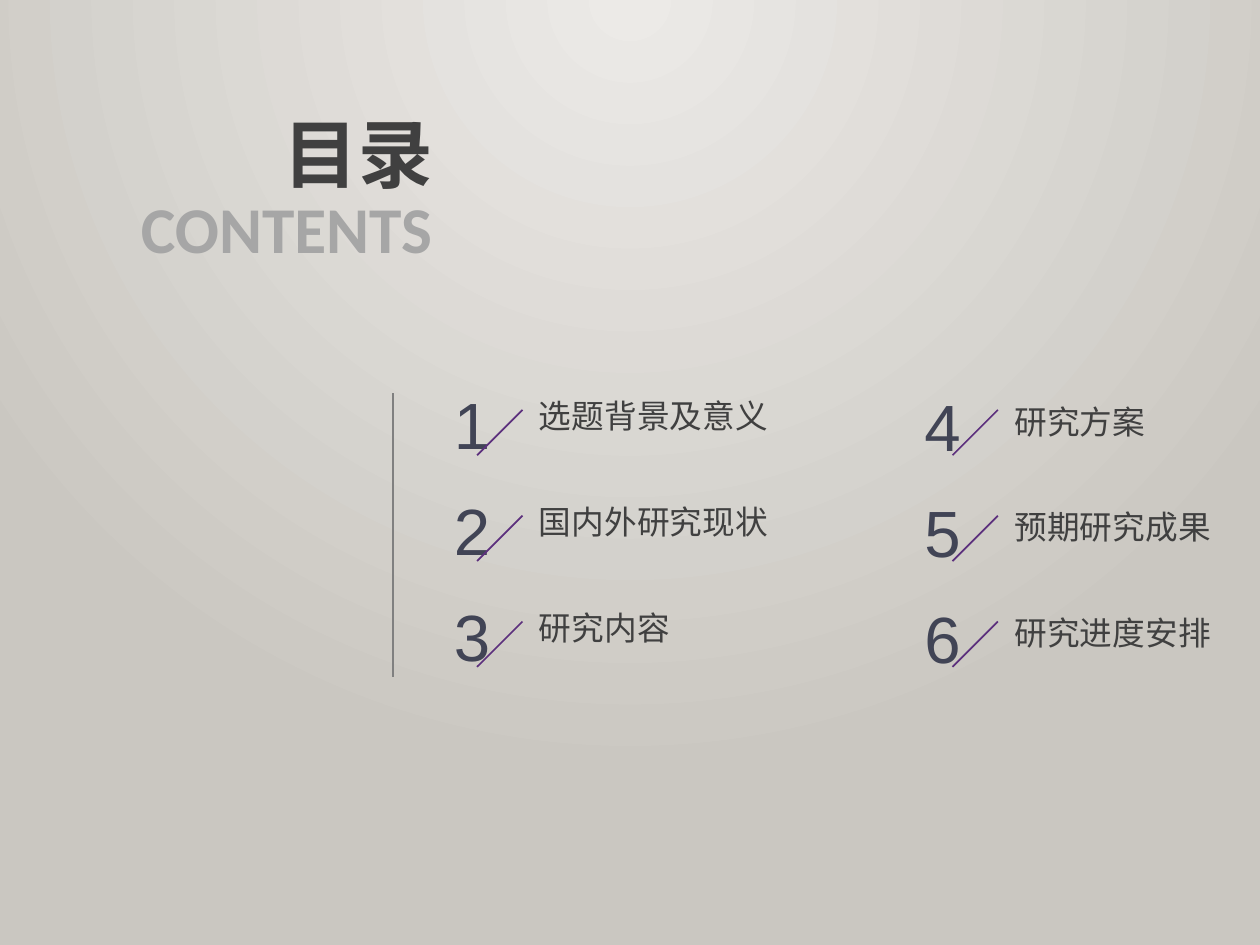
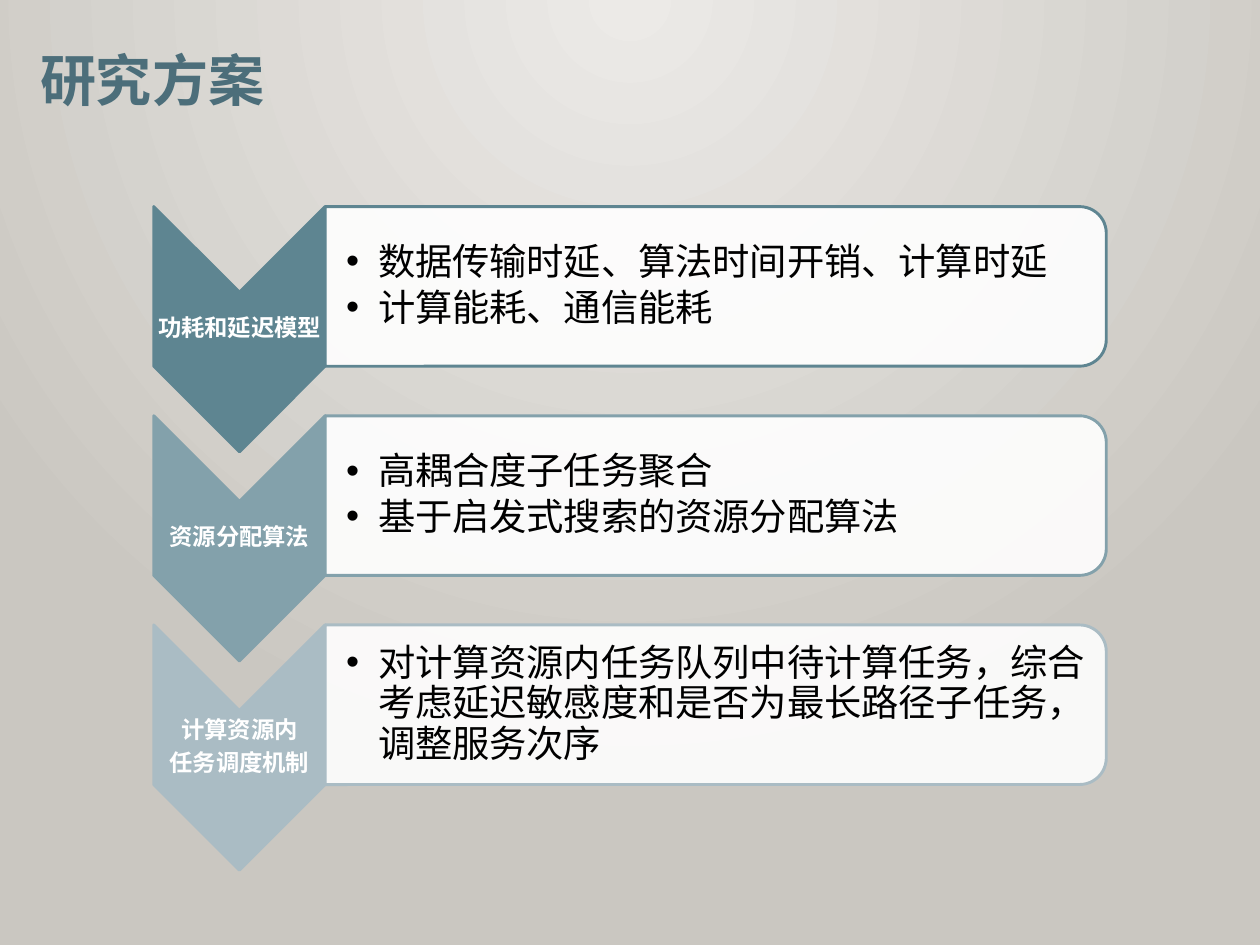
from lxml import etree
from pptx import Presentation, util as u
from pptx.dml.color import RGBColor
from pptx.enum import shapes, text
from pptx.oxml import ns

CJK = "Noto Sans CJK SC"
COLORS = {
    "glow": "ECEAE7", "edge": "CAC7C1", "dark": "404040", "pale": "A6A6A6",
    "number": "414455", "slash": "5C307D", "rule": "808080",
    "title": "4C6E7A", "white": "FFFFFF", "black": "000000",
    "step1": "5E8591", "step2": "83A1AB", "step3": "AABCC4",
}
CONTENTS = [
    ["选题背景及意义", "国内外研究现状", "研究内容"],
    ["研究方案", "预期研究成果", "研究进度安排"],
]
COLUMNS = [
    {"number": (2.6, 2.24), "label": (3.11, 2.31)},
    {"number": (5.4, 2.25), "label": (5.94, 2.34)},
]
STEPS = [
    ("step1", ["功耗和延迟模型"],
     ["数据传输时延、算法时间开销、计算时延", "计算能耗、通信能耗"]),
    ("step2", ["资源分配算法"],
     ["高耦合度子任务聚合", "基于启发式搜索的资源分配算法"]),
    ("step3", ["计算资源内", "任务调度机制"],
     ["对计算资源内任务队列中待计算任务，综合考虑延迟敏感度和是否为最长路径子任务，调整服务次序"]),
]
ALIGN = text.PP_ALIGN
KIND = shapes.MSO_SHAPE


def color(name):
    return RGBColor.from_string(COLORS[name])


def add_child(parent, tag, **attributes):
    return etree.SubElement(parent, ns.qn(tag), **attributes)


def paint_background(master):
    fill = master.background.fill
    fill.gradient()
    for stop, name in zip(fill.gradient_stops, ("glow", "edge")):
        stop.color.rgb = color(name)
    gradient = next(master.element.iter(ns.qn("a:gradFill")))
    for linear in gradient.findall(ns.qn("a:lin")):
        gradient.remove(linear)
    circle = add_child(gradient, "a:path", path="circle")
    add_child(circle, "a:fillToRect", l="43000", t="0", r="43000", b="100000")


def add_text(parent, at, lines, size, ink, font="Calibri", bold=False,
             align=ALIGN.LEFT, wrap=True, fit=True, insets=None,
             spacing=None, after=0, bullet_indent=None):
    box = parent.shapes.add_textbox(*map(u.Inches, at))
    frame = box.text_frame
    frame.text = "\n".join(lines)
    frame.word_wrap = wrap
    if fit:
        frame.auto_size = text.MSO_AUTO_SIZE.SHAPE_TO_FIT_TEXT
    else:
        frame.vertical_anchor = text.MSO_ANCHOR.MIDDLE
    if insets:
        (frame.margin_left, frame.margin_top,
         frame.margin_right, frame.margin_bottom) = map(u.Inches, insets)
    for para in frame.paragraphs:
        para.alignment = align
        para.line_spacing = spacing
        para.space_after = u.Pt(after)
        if bullet_indent:
            para.level = 1
            props = para._p.get_or_add_pPr()
            indent = u.Inches(bullet_indent)
            props.set("marL", str(indent))
            props.set("indent", str(-indent))
            add_child(props, "a:buFont", typeface="Arial")
            add_child(props, "a:buChar", char="•")
        for span in para.runs:
            span.font.size = u.Pt(size)
            span.font.bold = bold
            span.font.name = font
            span.font.color.rgb = color(ink)
            add_child(span._r.get_or_add_rPr(), "a:ea", typeface=CJK)


def add_line(parent, start, end, ink):
    line = parent.shapes.add_connector(
        shapes.MSO_CONNECTOR.STRAIGHT, *map(u.Inches, start + end))
    line.line.color.rgb = color(ink)
    line.line.width = u.Pt(0.75)
    add_child(line._element.spPr, "a:effectLst")


def add_turned(parent, kind, center, length, breadth, fill, line, alpha=None):
    left, top = center[0] - length / 2, center[1] - breadth / 2
    shape = parent.shapes.add_shape(
        kind, *map(u.Inches, (left, top, length, breadth)))
    shape.rotation = 90
    shape.shadow.inherit = False
    shape.fill.solid()
    shape.fill.fore_color.rgb = color(fill)
    shape.line.color.rgb = color(line)
    shape.line.width = u.Pt(1.25)
    if alpha:
        tone = shape._element.spPr.find(ns.qn("a:solidFill"))[0]
        add_child(tone, "a:alpha", val=str(alpha * 1000))


def build_contents(page):
    add_text(page, (-0.33, 1.07, 3, 0.57), ["CONTENTS"], 28, "pale",
             bold=True, align=ALIGN.RIGHT)
    add_text(page, (1.59, 0.59, 1.1, 0.64), ["目录"], 32, "dark",
             font=CJK, bold=True, wrap=False)
    pitch, slash = 0.63, 0.27
    for column, (place, labels) in enumerate(zip(COLUMNS, CONTENTS)):
        number_x, number_y = place["number"]
        label_x, label_y = place["label"]
        for row, label in enumerate(labels):
            drop = row * pitch
            number = column * len(labels) + row + 1
            add_text(page, (label_x, label_y + drop, 0.2 + 0.197 * len(label), 0.34),
                     [label], 14, "dark", font=CJK, wrap=False)
            entry = page.shapes.add_group_shape()
            add_text(entry, (number_x, number_y + drop, 0.42, 0.57),
                     [str(number)], 28, "number", font="Arial",
                     align=ALIGN.CENTER, wrap=False)
            add_line(entry, (label_x, 2.44 + drop),
                     (label_x - slash, 2.44 + drop + slash), "slash")
    add_line(page, (2.34, 2.34), (2.34, 4.03), "rule")


def build_plan(page):
    add_text(page, (0.14, 0.22, 2.94, 0.5), ["研究方案"], 24, "title", bold=True)
    diagram = page.shapes.add_group_shape()
    pitch = 1.245
    for row, (tone, label, points) in enumerate(STEPS):
        arrow_y, panel_y = 1.96 + row * pitch, 1.705 + row * pitch
        add_turned(diagram, KIND.CHEVRON, (1.425, arrow_y), 1.46, 1.02, tone, tone)
        add_text(diagram, (0.915, arrow_y - 0.22, 1.02, 0.44), label, 10, "white",
                 bold=True, align=ALIGN.CENTER, fit=False, insets=[0.01] * 4,
                 spacing=0.9, after=3.5)
        add_turned(diagram, KIND.ROUND_2_SAME_RECTANGLE, (4.26, panel_y),
                   0.95, 4.65, "white", tone, alpha=90)
        add_text(diagram, (1.94, panel_y - 0.43, 4.6, 0.86), points, 16, "black",
                 fit=False, insets=(0.12, 0.01, 0.01, 0.01),
                 spacing=0.9, after=2.4, bullet_indent=0.19)


def main():
    deck = Presentation()
    deck.slide_width = u.Inches(7.5)
    deck.slide_height = deck.slide_width * 3 // 4
    paint_background(deck.slide_master)
    for build in (build_contents, build_plan):
        build(deck.slides.add_slide(deck.slide_layouts[6]))
    deck.save("out.pptx")


if __name__ == "__main__":
    main()
